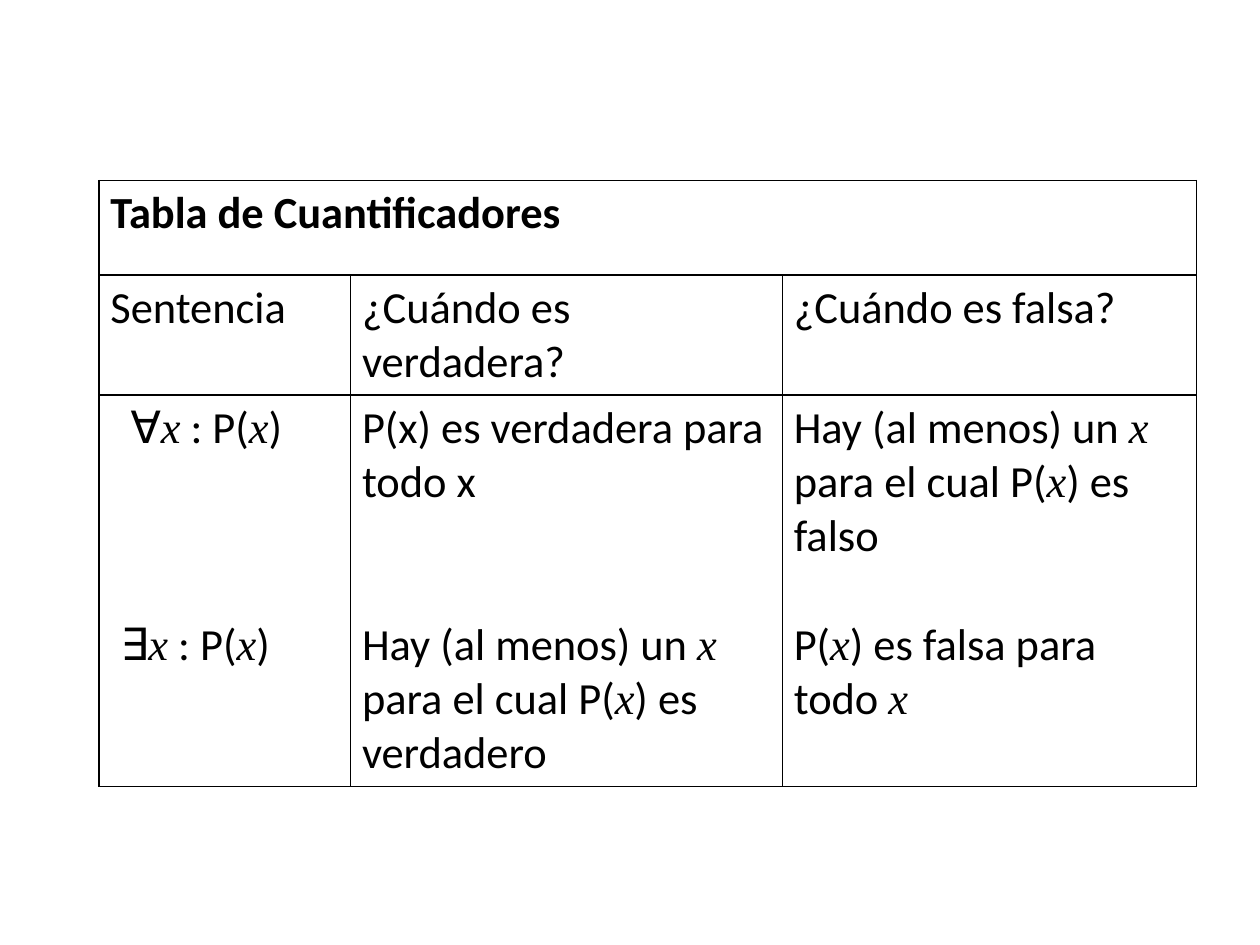
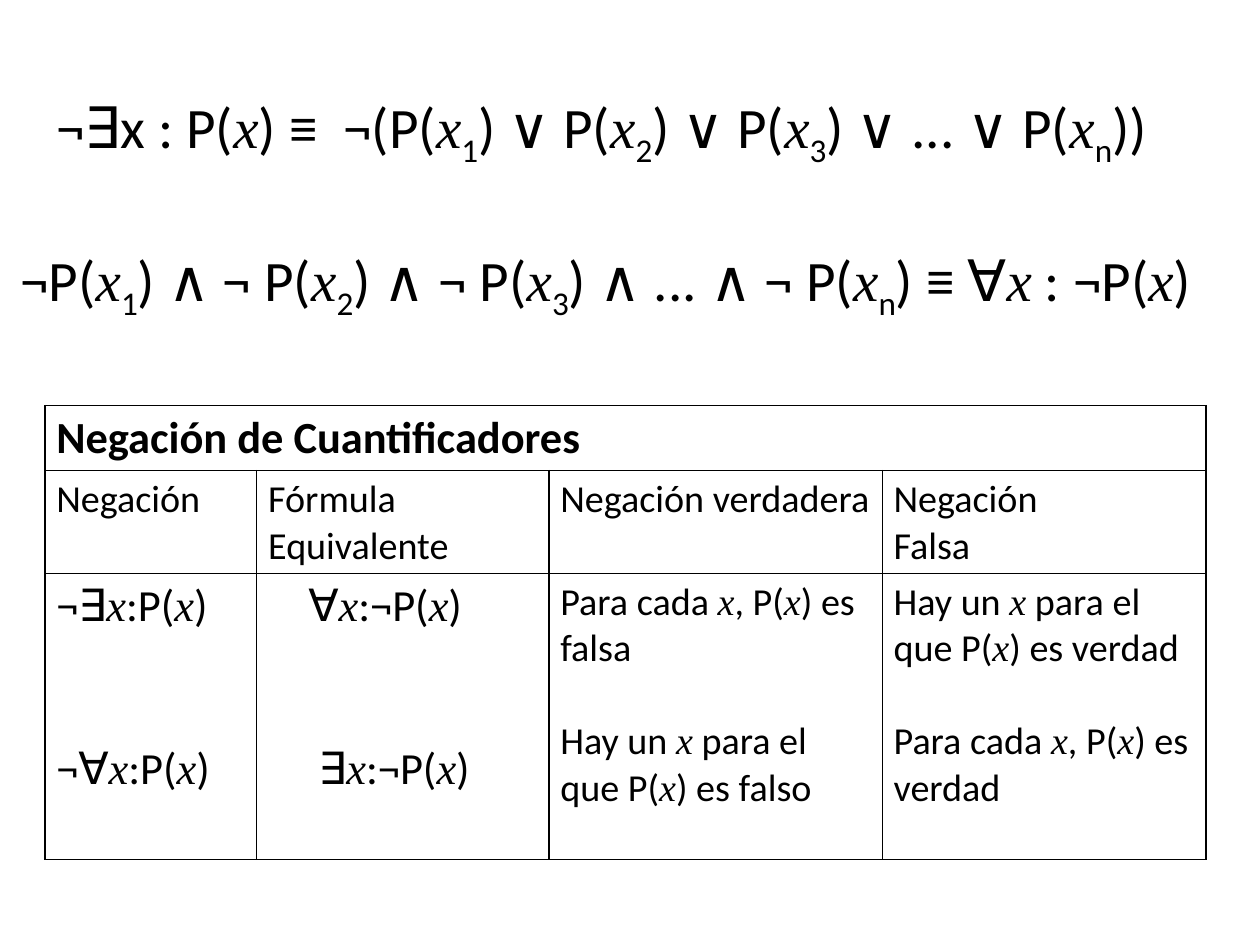
import dataclasses

import lxml.etree
import pptx
import pptx.dml.color
import pptx.enum.text
import pptx.oxml.ns
import pptx.slide
import pptx.table
import pptx.text.text
import pptx.util

Pt = pptx.util.Pt
BLACK = pptx.dml.color.RGBColor(0x00, 0x00, 0x00)
WHITE = pptx.dml.color.RGBColor(0xFF, 0xFF, 0xFF)
FONT = "Calibri"
MATH = "Times New Roman"
LARGE, BODY, SMALL = 36, 28, 24
LEAD = 1.22  # line height of the text font, as a share of its size
SPACE = 0.226  # width of a space, as a share of the font size
EDGES = ("a:lnL", "a:lnR", "a:lnT", "a:lnB")


@dataclasses.dataclass(frozen=True)
class Line:
    """A paragraph; skip counts the lines left free above it, shift the spaces of indent."""
    text: str
    size: int = BODY
    bold: bool = False
    skip: int = 0
    shift: int = 0


@dataclasses.dataclass(frozen=True)
class Grid:
    left: float
    top: float
    widths: tuple[float, ...]
    heights: tuple[float, ...]
    title: str
    rows: tuple[tuple[tuple[Line, ...], ...], ...]


@dataclasses.dataclass(frozen=True)
class Formula:
    left: float
    top: float
    width: float
    text: str


def write_line(par: pptx.text.text._Paragraph, line: Line) -> None:
    """Split the text at bars: x is a variable, a part led by _ is a subscript."""
    for part in filter(None, line.text.split("|")):
        run = par.add_run()
        run.text = part.removeprefix("_")
        run.font.size = Pt(line.size)
        run.font.bold = line.bold
        run.font.color.rgb = BLACK
        run.font.italic = part == "x"
        run.font.name = MATH if part == "x" else FONT
        if part.startswith("_"):
            run.font._element.set("baseline", "-25000")
    if line.skip:
        par.space_before = Pt(line.skip * line.size * LEAD)
    if line.shift:
        props = par._p.get_or_add_pPr()
        props.set("marL", str(Pt(line.shift * line.size * SPACE)))
        props.set("indent", "0")


def fill_frame(frame: pptx.text.text.TextFrame, lines: tuple[Line, ...]) -> None:
    for index, line in enumerate(lines):
        par = frame.add_paragraph() if index else frame.paragraphs[0]
        write_line(par, line)


def style_cell(cell: pptx.table._Cell) -> None:
    cell.fill.solid()
    cell.fill.fore_color.rgb = WHITE
    props = cell._tc.get_or_add_tcPr()
    for index, edge in enumerate(EDGES):
        border = lxml.etree.Element(pptx.oxml.ns.qn(edge), w=str(Pt(1)))
        fill = lxml.etree.SubElement(border, pptx.oxml.ns.qn("a:solidFill"))
        lxml.etree.SubElement(fill, pptx.oxml.ns.qn("a:srgbClr"), val=str(BLACK))
        props.insert(index, border)


def draw_grid(slide: pptx.slide.Slide, grid: Grid) -> None:
    table = slide.shapes.add_table(
        len(grid.heights), len(grid.widths), Pt(grid.left), Pt(grid.top),
        Pt(sum(grid.widths)), Pt(sum(grid.heights))).table
    table.first_row = table.horz_banding = False
    for column, width in zip(table.columns, grid.widths):
        column.width = Pt(width)
    for row, height in zip(table.rows, grid.heights):
        row.height = Pt(height)
    for cell in table.iter_cells():
        style_cell(cell)
    table.cell(0, 0).merge(table.cell(0, len(grid.widths) - 1))
    fill_frame(table.cell(0, 0).text_frame, (Line(grid.title, bold=True),))
    for r, row in enumerate(grid.rows, start=1):
        for c, lines in enumerate(row):
            fill_frame(table.cell(r, c).text_frame, lines)


def draw_formula(slide: pptx.slide.Slide, formula: Formula) -> None:
    box = slide.shapes.add_textbox(
        Pt(formula.left), Pt(formula.top), Pt(formula.width), Pt(51))
    box.text_frame.word_wrap = True
    box.text_frame.auto_size = pptx.enum.text.MSO_AUTO_SIZE.SHAPE_TO_FIT_TEXT
    fill_frame(box.text_frame, (Line(formula.text, LARGE),))


QUANTIFIERS = Grid(
    left=62.4, top=113.75, widths=(158.5, 272, 261), heights=(59.5, 75.5, 246.5),
    title="Tabla de Cuantificadores",
    rows=(
        (
            (Line("Sentencia"),),
            (Line("¿Cuándo es verdadera?"),),
            (Line("¿Cuándo es falsa?"),),
        ),
        (
            (Line("∀|x| : P(|x|)", shift=2),
             Line("∃|x| : P(|x|)", skip=3, shift=1)),
            (Line("P(x) es verdadera para todo x"),
             Line("Hay (al menos) un |x| para el cual P(|x|) es verdadero", skip=2)),
            (Line("Hay (al menos) un |x| para el cual P(|x|) es falso"),
             Line("P(|x|) es falsa para todo |x", skip=1)),
        ),
    ),
)

NEGATIONS = Grid(
    left=28.25, top=255.5, widths=(133.5, 184, 210, 204), heights=(41, 64.75, 180),
    title="Negación de Cuantificadores",
    rows=(
        (
            (Line("Negación", SMALL),),
            (Line("Fórmula", SMALL), Line("Equivalente", SMALL)),
            (Line("Negación verdadera", SMALL),),
            (Line("Negación", SMALL), Line("Falsa", SMALL)),
        ),
        (
            (Line("¬∃|x|:P(|x|)"),
             Line("¬∀|x|:P(|x|)", skip=2)),
            (Line("∀|x|:¬P(|x|)", shift=4),
             Line("∃|x|:¬P(|x|)", skip=2, shift=5)),
            (Line("Para cada |x|, P(|x|) es falsa", SMALL),
             Line("Hay un |x| para el que P(|x|) es falso", SMALL, skip=1)),
            (Line("Hay un |x| para el que P(|x|) es verdad", SMALL),
             Line("Para cada |x|, P(|x|) es verdad", SMALL, skip=1)),
        ),
    ),
)

FORMULAS = (
    Formula(28.25, 54, 731.5,
            "¬∃x : P(|x|) ≡  ¬(P(|x|_1|) ∨ P(|x|_2|) ∨ P(|x|_3|) ∨ ... ∨ P(|x|_n|))"),
    Formula(5.75, 150.25, 787.5,
            "¬P(|x|_1|) ∧ ¬ P(|x|_2|) ∧ ¬ P(|x|_3|) ∧ ... ∧ ¬ P(|x|_n|) ≡ ∀|x| : ¬P(|x|)"),
)


def main() -> None:
    deck = pptx.Presentation()
    deck.slide_width, deck.slide_height = Pt(793.7), Pt(595.28)
    blank = deck.slide_layouts[6]
    draw_grid(deck.slides.add_slide(blank), QUANTIFIERS)
    slide = deck.slides.add_slide(blank)
    for formula in FORMULAS:
        draw_formula(slide, formula)
    draw_grid(slide, NEGATIONS)
    deck.save("out.pptx")


if __name__ == "__main__":
    main()
